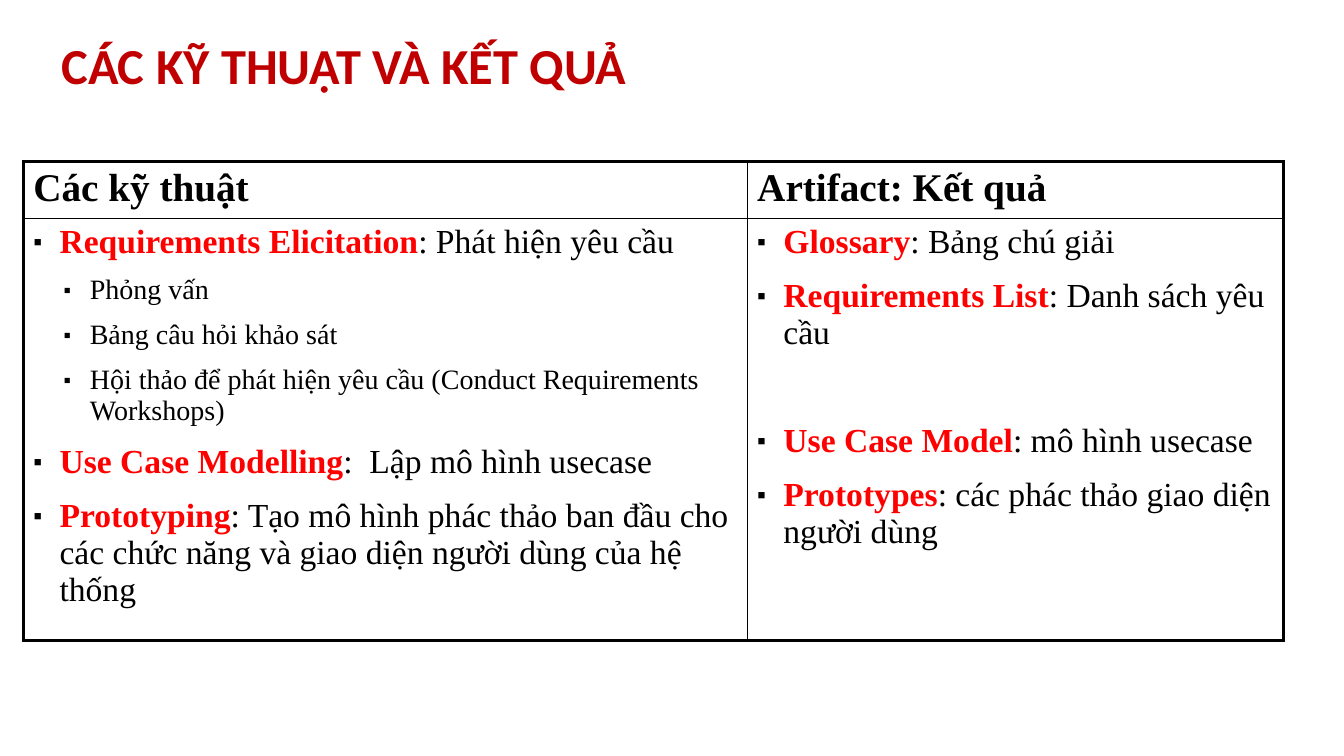
from dataclasses import dataclass

from lxml import etree
from pptx import Presentation, util as u
from pptx.dml.color import RGBColor
from pptx.enum import text
from pptx.oxml import ns

BLACK = RGBColor(0, 0, 0)
RED = RGBColor(0xFF, 0, 0)
TITLE_RED = RGBColor(0xC0, 0, 0)
TITLE_FONT, BODY_FONT = "Calibri", "Times New Roman"
SLIDE_WIDTH, SLIDE_HEIGHT = u.Inches(13.33), u.Inches(7.5)
OUTER_LINE, INNER_LINE = u.Pt(2.25), u.Pt(1)

# Percentages of the slide's width and height
COLUMN_SHARES = (53.86, 39.91)
ROW_SHARES = (7.07, 52.4)


@dataclass(frozen=True)
class Item:
    """One list entry: a red term, its explanation and its place in the list."""
    explanation: str
    term: str = ""
    size: float = 24
    indent: float = 0.26
    gap: float = 12


def method(name: str) -> Item:
    return Item(name, size=20, indent=0.56, gap=10)


HEADINGS = ("Các kỹ thuật", "Artifact: Kết quả")
TECHNIQUES = (
    Item(": Phát hiện yêu cầu", "Requirements Elicitation"),
    method("Phỏng vấn"),
    method("Bảng câu hỏi khảo sát"),
    method("Hội thảo để phát hiện yêu cầu (Conduct Requirements Workshops)"),
    Item(":  Lập mô hình usecase", "Use Case Modelling"),
    Item(": Tạo mô hình phác thảo ban đầu cho các chức năng và giao diện "
         "người dùng của hệ thống", "Prototyping"),
)
ARTIFACTS = (
    Item(": Bảng chú giải", "Glossary"),
    Item(": Danh sách yêu cầu", "Requirements List"),
    Item(": mô hình usecase", "Use Case Model", gap=50.6),
    Item(": các phác thảo giao diện người dùng", "Prototypes"),
)


def across(percent: float) -> int:
    return round(SLIDE_WIDTH * percent / 100)


def down(percent: float) -> int:
    return round(SLIDE_HEIGHT * percent / 100)


def add_run(paragraph, words: str, size: float, color: RGBColor = BLACK,
            bold: bool = False, font: str = BODY_FONT) -> None:
    run = paragraph.add_run()
    run.text = words
    run.font.name = font
    run.font.size = u.Pt(size)
    run.font.bold = bold
    run.font.color.rgb = color


def add_element(parent, tag: str, **attributes: str):
    return etree.SubElement(parent, ns.qn(tag), attributes)


def add_solid_fill(parent, color: RGBColor) -> None:
    add_element(add_element(parent, "a:solidFill"), "a:srgbClr", val=str(color))


def add_bullet(paragraph, indent: float) -> None:
    properties = paragraph._p.get_or_add_pPr()
    properties.set("marL", str(u.Inches(indent)))
    properties.set("indent", str(-u.Inches(0.26)))
    bullet_color = add_element(properties, "a:buClr")
    add_element(bullet_color, "a:srgbClr", val=str(BLACK))
    add_element(properties, "a:buSzPct", val="75000")
    add_element(properties, "a:buFont", typeface=BODY_FONT)
    add_element(properties, "a:buChar", char="▪")


def add_items(frame, items: tuple[Item, ...]) -> None:
    for index, item in enumerate(items):
        paragraph = frame.add_paragraph() if index else frame.paragraphs[0]
        add_bullet(paragraph, item.indent)
        if index:
            paragraph.space_before = u.Pt(item.gap)
        if item.term:
            add_run(paragraph, item.term, item.size, RED, bold=True)
        add_run(paragraph, item.explanation, item.size)


def frame_cell(cell, row: int, column: int) -> None:
    """Rule a cell with thick lines on the table's edge and thin ones inside."""
    properties = cell._tc.get_or_add_tcPr()
    on_edge = {
        "a:lnL": column == 0,
        "a:lnR": column == len(COLUMN_SHARES) - 1,
        "a:lnT": row == 0,
        "a:lnB": row == len(ROW_SHARES) - 1,
    }
    for tag, outer in on_edge.items():
        width = OUTER_LINE if outer else INNER_LINE
        add_solid_fill(add_element(properties, tag, w=str(width)), BLACK)
    cell.fill.background()


def add_title(slide) -> None:
    title = slide.shapes.add_textbox(across(3.83), 0, across(92.8), down(13.33))
    frame = title.text_frame
    frame.word_wrap = True
    frame.vertical_anchor = text.MSO_ANCHOR.BOTTOM
    paragraph = frame.paragraphs[0]
    paragraph.line_spacing = 0.9
    add_run(paragraph, "CÁC KỸ THUẬT VÀ KẾT QUẢ", 36, TITLE_RED,
            bold=True, font=TITLE_FONT)


def add_techniques_table(slide) -> None:
    table = slide.shapes.add_table(
        len(ROW_SHARES), len(COLUMN_SHARES), across(1.73), down(21.33),
        across(sum(COLUMN_SHARES)), down(sum(ROW_SHARES))).table
    table.first_row = table.horz_banding = False
    for row, share in zip(table.rows, ROW_SHARES):
        row.height = down(share)
    for column, share in enumerate(COLUMN_SHARES):
        table.columns[column].width = across(share)
        for row in range(len(ROW_SHARES)):
            frame_cell(table.cell(row, column), row, column)
    for column, (heading, items) in enumerate(zip(HEADINGS, (TECHNIQUES, ARTIFACTS))):
        heading_frame = table.cell(0, column).text_frame
        add_run(heading_frame.paragraphs[0], heading, 28, bold=True)
        add_items(table.cell(1, column).text_frame, items)


def main() -> None:
    deck = Presentation()
    deck.slide_width, deck.slide_height = SLIDE_WIDTH, SLIDE_HEIGHT
    slide = deck.slides.add_slide(deck.slide_layouts[6])
    add_title(slide)
    add_techniques_table(slide)
    deck.save("out.pptx")


if __name__ == "__main__":
    main()
